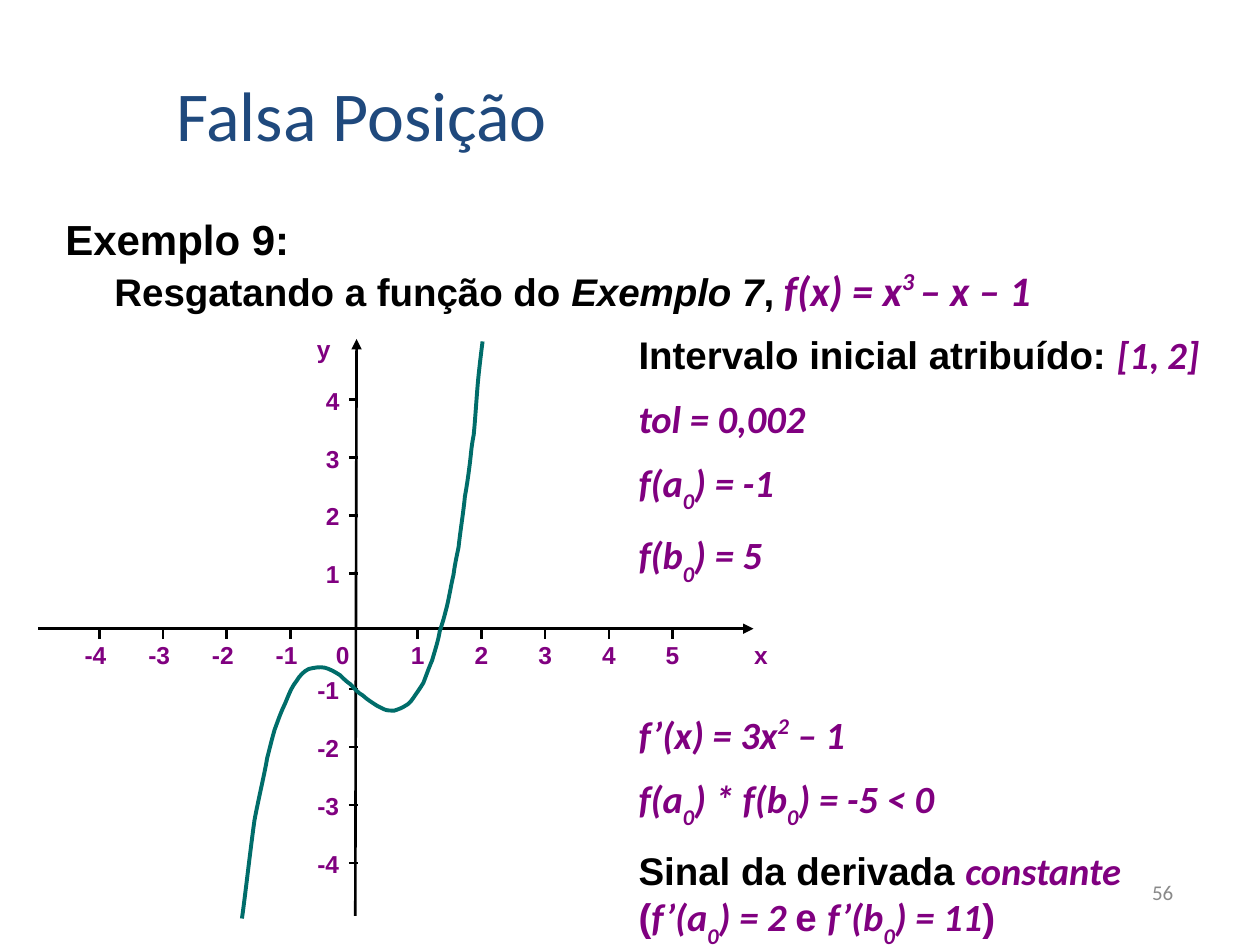
from collections import namedtuple

from lxml import etree
from pptx import Presentation
from pptx.dml.color import RGBColor
from pptx.enum import shapes, text
from pptx.oxml.ns import qn
from pptx.util import Inches, Pt

BLACK, PURPLE, TEAL = "000000", "800080", "006D6A"
ORIGIN_X, STEP_X, AXIS_Y = 2.81, 4.55 / 9, 4.99
ORIGIN_Y, STEP_Y = 5.01, 0.46

Style = namedtuple("Style", "size font color bold italic", defaults=(False, False))
TITLE = Style(40, "Calibri", "1F497D")
NUMBER = Style(12, "Calibri", "898989")
HEADING = Style(24, "Arial", BLACK, True)
BODY = Style(22, "Arial", BLACK, True)
MATH = Style(22, "Calibri", PURPLE, True, True)
FORMULA = MATH._replace(size=24)
PAREN = BODY._replace(color=PURPLE)
LABEL = Style(14, "Arial", PURPLE, True)
SUB, SUP = -32000, 38000

# Start point, then two controls and an end point for each segment
CURVE = [
    (1.92, 7.29),
    (1.94, 7.16), (1.99, 6.72), (2.02, 6.51),
    (2.06, 6.30), (2.10, 6.14), (2.12, 6.02),
    (2.15, 5.90), (2.16, 5.86), (2.18, 5.79),
    (2.21, 5.71), (2.23, 5.65), (2.26, 5.59),
    (2.29, 5.52), (2.31, 5.46), (2.35, 5.41),
    (2.38, 5.36), (2.41, 5.33), (2.45, 5.31),
    (2.49, 5.30), (2.54, 5.29), (2.58, 5.30),
    (2.62, 5.31), (2.67, 5.34), (2.70, 5.36),
    (2.73, 5.39), (2.75, 5.41), (2.78, 5.43),
    (2.81, 5.46), (2.84, 5.50), (2.88, 5.52),
    (2.91, 5.55), (2.96, 5.58), (2.99, 5.60),
    (3.02, 5.62), (3.02, 5.62), (3.05, 5.63),
    (3.07, 5.64), (3.10, 5.64), (3.13, 5.64),
    (3.16, 5.63), (3.19, 5.62), (3.22, 5.60),
    (3.24, 5.59), (3.26, 5.57), (3.28, 5.54),
    (3.30, 5.51), (3.33, 5.47), (3.36, 5.42),
    (3.38, 5.37), (3.40, 5.31), (3.43, 5.24),
    (3.45, 5.17), (3.48, 5.08), (3.49, 5.01),
    (3.51, 4.95), (3.52, 4.92), (3.54, 4.84),
    (3.56, 4.77), (3.58, 4.64), (3.60, 4.56),
    (3.61, 4.48), (3.62, 4.44), (3.64, 4.34),
    (3.65, 4.24), (3.68, 4.05), (3.69, 3.94),
    (3.71, 3.83), (3.72, 3.75), (3.73, 3.67),
    (3.74, 3.59), (3.74, 3.55), (3.76, 3.45),
    (3.77, 3.35), (3.78, 3.19), (3.79, 3.07),
    (3.80, 2.95), (3.82, 2.79), (3.83, 2.71),
]

# Space before, then the runs: text, style and, where needed, baseline
RESULTS = [
    (0, [("Intervalo inicial atribuído: ", BODY), ("[1", MATH),
         (", ", MATH._replace(italic=False)), ("2]", MATH)]),
    (10, [("tol = 0,002", MATH)]),
    (10, [("f(a", MATH), ("0", MATH, SUB), (") = -1", MATH)]),
    (10, [("f(b", MATH), ("0", MATH, SUB), (") = 5", MATH)]),
    (71, [("f’(x) = 3x", MATH), ("2", MATH, SUP), (" – 1", MATH)]),
    (10, [("f(a", MATH), ("0", MATH, SUB), (") * f(b", MATH),
          ("0", MATH, SUB), (") = -5 < 0", MATH)]),
    (10, [("Sinal da derivada ", BODY), ("constante", MATH)]),
    (0, [("(", PAREN), ("f’(a", MATH), ("0", MATH, SUB), (") = 2 ", MATH),
         ("e ", PAREN), ("f’(b", MATH), ("0", MATH, SUB), (") = 11", MATH),
         (")", PAREN)]),
]


def rgb(color):
    return RGBColor.from_string(color)


def add_run(p, content, style, baseline=0):
    r = p.add_run()
    r.text = content
    r.font.size, r.font.name = Pt(style.size), style.font
    r.font.bold, r.font.italic = style.bold, style.italic
    r.font.color.rgb = rgb(style.color)
    if baseline:
        r._r.get_or_add_rPr().set("baseline", str(baseline))


def add_text(parent, box, paragraphs, align=text.PP_ALIGN.LEFT,
             anchor=text.MSO_ANCHOR.TOP, inset=True):
    tf = parent.add_textbox(*map(Inches, box)).text_frame
    tf.word_wrap, tf.vertical_anchor = True, anchor
    if not inset:
        tf.margin_left = tf.margin_right = tf.margin_top = tf.margin_bottom = 0
    for i, (before, runs) in enumerate(paragraphs):
        p = tf.add_paragraph() if i else tf.paragraphs[0]
        p.alignment, p.space_before = align, Pt(before)
        for run in runs:
            add_run(p, *run)
    return tf


def add_label(parent, content, left, top, width=0.16):
    add_text(parent, (left, top, width, 0.21), [(0, [(content, LABEL)])],
             text.PP_ALIGN.CENTER, inset=False)


def add_line(parent, x1, y1, x2, y2, arrow=False):
    """Draw a black line, with the arrowhead at its start if asked."""
    line = parent.add_connector(shapes.MSO_CONNECTOR.STRAIGHT,
                                *map(Inches, (x1, y1, x2, y2)))
    line.line.color.rgb, line.line.width = rgb(BLACK), Pt(1.5)
    if arrow:
        etree.SubElement(line.line._get_or_add_ln(), qn("a:headEnd"), type="triangle")
    etree.SubElement(line._element.spPr, qn("a:effectLst"))


def add_curve(parent, points):
    """Build an outline through all points, then turn each three into a Bézier."""
    start, *rest = [(Inches(x), Inches(y)) for x, y in points]
    builder = parent.build_freeform(*start)
    builder.add_line_segments(rest, close=False)
    sp = builder.convert_to_shape()
    sp.shadow.inherit = False
    sp.fill.background()
    sp.line.color.rgb, sp.line.width = rgb(TEAL), Pt(2.25)
    outline = next(sp._element.iter(qn("a:path")))
    segments = outline.findall(qn("a:lnTo"))
    for i in range(0, len(segments), 3):
        bezier = etree.SubElement(outline, qn("a:cubicBezTo"))
        for segment in segments[i:i + 3]:
            bezier.append(segment[0])
            outline.remove(segment)


def add_x_axis(parent):
    add_line(parent, 5.98, AXIS_Y, 0.3, AXIS_Y, arrow=True)
    for n in (-4, -3, -2, -1, 1, 2, 3, 4, 5):
        x = ORIGIN_X + n * STEP_X
        width = 0.16 if n > 0 else 0.25
        shift = 0 if n > 0 else 0.03
        add_line(parent, x, 5, x, 5.07)
        add_label(parent, str(n), x - shift - width / 2, 5.08, width)
    add_label(parent, "0", 2.64, 5.08)
    add_label(parent, "x", 5.96, 5.08)


def add_y_axis(parent):
    add_line(parent, 2.83, 2.69, 2.82, 7.27, arrow=True)
    for n in (-4, -3, -2, -1, 1, 2, 3, 4):
        y = ORIGIN_Y - n * STEP_Y
        left, width = (2.56, 0.16) if n > 0 else (2.48, 0.25)
        add_line(parent, 2.77, y, 2.84, y)
        add_label(parent, str(n), left, y - 0.11, width)
    add_label(parent, "y", 2.43, 2.65, 0.28)


def add_example(parent):
    tf = add_text(parent, (0.42, 1.72, 9.16, 0.92), [
        (0, [("Exemplo 9:", HEADING)]),
        (6, [("Resgatando a função do ", BODY),
             ("Exemplo 7", BODY._replace(italic=True)), (",", BODY),
             (" ", BODY._replace(size=20)), ("f(x) = x", FORMULA),
             ("3 ", FORMULA, SUP), ("– x – 1", FORMULA)]),
    ], text.PP_ALIGN.JUSTIFY)
    for p in tf.paragraphs:
        p.line_spacing = 0.8
    tf.paragraphs[1]._p.get_or_add_pPr().set("marL", str(Inches(0.39)))


def main():
    prs = Presentation()
    prs.slide_width, prs.slide_height = Inches(10), Inches(7.5)
    s = prs.slides.add_slide(prs.slide_layouts[6])
    add_text(s.shapes, (7.33, 6.83, 2.08, 0.5), [(0, [("56", NUMBER)])],
             text.PP_ALIGN.RIGHT, text.MSO_ANCHOR.MIDDLE)
    add_example(s.shapes)
    graph = s.shapes.add_group_shape().shapes
    add_x_axis(graph)
    add_y_axis(graph)
    add_curve(graph, CURVE)
    add_text(s.shapes, (4.97, 2.58, 5, 4.99), RESULTS)
    add_text(s.shapes, (1.3, 0.58, 8.52, 0.7), [(0, [("Falsa Posição", TITLE)])],
             anchor=text.MSO_ANCHOR.BOTTOM)
    prs.save("out.pptx")


if __name__ == "__main__":
    main()
